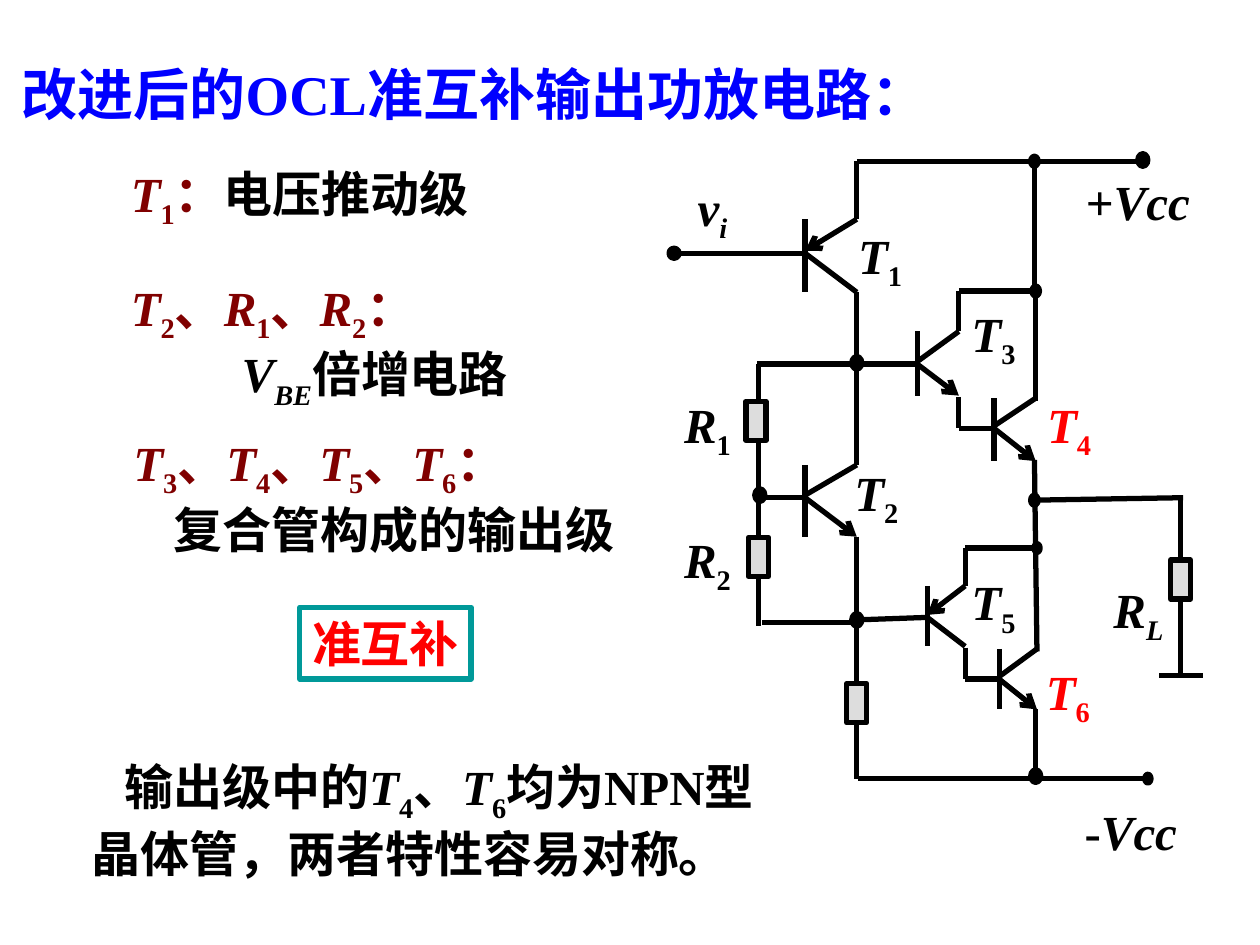
from dataclasses import dataclass
from typing import NamedTuple

from lxml.etree import SubElement
from pptx import Presentation
from pptx.dml.color import RGBColor
from pptx.enum.shapes import MSO_CONNECTOR, MSO_SHAPE
from pptx.enum.text import MSO_ANCHOR, MSO_AUTO_SIZE, PP_ALIGN
from pptx.oxml.ns import qn
from pptx.util import Inches, Pt

COLORS = {"title": "0000FF", "name": "800000", "ink": "000000", "accent": "FF0000",
          "frame": "009999", "resistor": "DDDDDD", "paper": "FFFFFF"}
LATIN, CHINESE = "Times New Roman", "Arial"
COLUMNS, ROWS = 100, 75
STROKE = Pt(3)


class Run(NamedTuple):
    text: str
    color: str = "ink"
    font: str = LATIN
    italic: bool = False
    subscript: bool = False


class Line(NamedTuple):
    runs: list
    margin: float = 0
    first_indent: float = 0


class Box(NamedTuple):
    left: float
    top: float
    width: float
    height: float


class Wire(NamedTuple):
    x1: float
    y1: float
    x2: float
    y2: float


class Node(NamedTuple):
    x: float
    y: float
    width: float = 0.6
    height: float = 0.8


@dataclass(frozen=True)
class Transistor:
    bar: float
    lead: float
    top: float
    base: float
    bottom: float
    pnp: bool = False


@dataclass(frozen=True)
class Label:
    box: Box
    runs: list


def chinese(text: str, color: str = "ink") -> Run:
    """Return an upright Chinese run."""
    return Run(text, color, CHINESE)


def symbol(letter: str, index: str, color: str = "ink", slanted_index: bool = False) -> list:
    """Return an italic letter followed by its subscript."""
    return [Run(letter, color, italic=True),
            Run(index, color, italic=slanted_index, subscript=True)]


def symbol_list(names: str) -> list:
    """Return symbols parted by Chinese commas and closed by a colon."""
    items = names.split()
    runs = []
    for name in items:
        mark = "：" if name == items[-1] else "、"
        runs += [*symbol(name[0], name[1], "name"), chinese(mark, "name")]
    return runs


TITLE = Line([chinese("改进后的", "title"), Run("OCL", "title"),
              chinese("准互补输出功放电路：", "title")])
NOTES = [
    (Box(7.4, 12.5, 32, 6.3),
     [Line([*symbol("T", "1", "name"), chinese("：", "name"), chinese("电压推动级")], 2)]),
    (Box(7.4, 21.5, 35, 11.6),
     [Line(symbol_list("T2 R1 R2"), 2),
      Line([*symbol("V", "BE", slanted_index=True), chinese("倍增电路")], 10.8)]),
    (Box(7.6, 33.8, 45.7, 11),
     [Line(symbol_list("T3 T4 T5 T6"), 2), Line([chinese("复合管构成的输出级")], 5.2)]),
    (Box(6.3, 57.2, 54.9, 15.7),
     [Line([chinese("输出级中的"), *symbol("T", "4"), chinese("、"), *symbol("T", "6"),
            chinese("均为"), Run("NPN"), chinese("型晶体管，两者特性容易对称。")],
           first_indent=2.6)]),
]
BADGE = Label(Box(23.8, 48.2, 13.6, 5.7), [chinese("准互补", "accent")])
TRANSISTORS = [
    Transistor(63.9, 68, 17.4, 20.1, 23.2, pnp=True),
    Transistor(63.9, 68, 36.9, 39.5, 42.6),
    Transistor(72.8, 76.1, 26.3, 28.9, 31.4),
    Transistor(78.9, 82.2, 31.6, 34, 36.6),
    Transistor(73.6, 76.6, 46.5, 49, 51.3, pnp=True),
    Transistor(79.3, 82.3, 51.5, 53.9, 56.3),
]
WIRES = [
    Wire(68, 12.8, 91.3, 12.8), Wire(68, 17.4, 68, 12.8), Wire(53.1, 20.1, 63.9, 20.1),
    Wire(68, 23.2, 68, 36.9), Wire(60.1, 28.9, 72.8, 28.9), Wire(60.2, 28.9, 60.2, 49.7),
    Wire(60.6, 39.5, 63.9, 39.5), Wire(60.5, 49.4, 68, 49.4), Wire(68, 42.6, 68, 61.8),
    Wire(68, 49.2, 73.6, 49), Wire(68.1, 61.8, 90.8, 61.8),
    Wire(82.1, 12.8, 82.1, 22.7), Wire(82.2, 22.7, 82.2, 31.8), Wire(76.1, 23.1, 82.2, 23.1),
    Wire(76.1, 23.1, 76.1, 26.3), Wire(76.1, 31.5, 76.1, 34), Wire(76.1, 34, 78.9, 34),
    Wire(82.1, 36.5, 82.3, 51.7), Wire(76.6, 43.5, 82.3, 43.5), Wire(76.6, 43.5, 76.6, 46.5),
    Wire(76.6, 51.4, 76.6, 53.9), Wire(76.6, 53.9, 79.3, 53.9), Wire(82.2, 56.3, 82.2, 61.9),
    Wire(81.9, 39.7, 93.9, 39.5), Wire(93.7, 39.7, 93.7, 53.6), Wire(92, 53.6, 95.5, 53.6),
]
NODES = [
    Node(82.1, 12.8), Node(82.2, 23.1), Node(82.1, 39.7), Node(82.3, 43.5, 0.5, 0.7),
    Node(91.1, 61.8, 0.5, 0.7), Node(53.5, 20.1, 0.8, 0.8),
    *(Node(x, y, 0.8, 1) for x, y in
      [(90.7, 12.7), (68, 28.8), (60.3, 39.3), (68, 49.2), (82.2, 61.6)]),
]
RESISTORS = [Node(x, y, 1.6, 3.1) for x, y in
             [(60, 33.4), (60.2, 44.2), (68, 55.8), (93.7, 46)]]
LABELS = [
    Label(Box(85.2, 13.1, 10.2, 5.7), [Run("+"), Run("Vcc", italic=True)]),
    Label(Box(85.1, 63.1, 9.3, 5.7), [Run("-"), Run("Vcc", italic=True)]),
    Label(Box(54.4, 13.6, 4.3, 6.3), symbol("v", "i", slanted_index=True)),
    Label(Box(87.4, 45.5, 5.9, 6.3), symbol("R", "L", slanted_index=True)),
    *(Label(Box(53.3, top, 5.7, 6.3), symbol("R", index))
      for index, top in [("1", 30.8), ("2", 41.5)]),
    *(Label(Box(left, top, 5.5, 6.3), symbol("T", index, color))
      for index, left, top, color in
      [("1", 67.1, 17.4, "ink"), ("2", 66.8, 36.2, "ink"), ("3", 76.1, 23.6, "ink"),
       ("4", 82.1, 30.8, "accent"), ("5", 76.1, 44.9, "ink"), ("6", 82, 52, "accent")]),
]

deck = Presentation()
deck.slide_width, deck.slide_height = Inches(10), Inches(7.5)
slide = deck.slides.add_slide(deck.slide_layouts[5])


def across(columns: float) -> int:
    """Convert grid columns to a length."""
    return round(deck.slide_width * columns / COLUMNS)


def down(rows: float) -> int:
    """Convert grid rows to a length."""
    return round(deck.slide_height * rows / ROWS)


def place(box: Box) -> tuple:
    """Convert a grid box to slide lengths."""
    return across(box.left), down(box.top), across(box.width), down(box.height)


def rgb(color: str) -> RGBColor:
    """Look up a colour by its role."""
    return RGBColor.from_string(COLORS[color])


def write(shape, lines: list, align=PP_ALIGN.LEFT, size: int = 28, wrap: bool = False,
          anchor=MSO_ANCHOR.MIDDLE) -> None:
    """Fill a shape with lines of bold runs."""
    frame = shape.text_frame
    frame.auto_size, frame.word_wrap, frame.vertical_anchor = MSO_AUTO_SIZE.NONE, wrap, anchor
    for number, line in enumerate(lines):
        paragraph = frame.add_paragraph() if number else frame.paragraphs[0]
        paragraph.alignment = align
        if line.margin or line.first_indent:
            properties = paragraph._p.get_or_add_pPr()
            properties.set("marL", str(across(line.margin)))
            properties.set("indent", str(across(line.first_indent)))
        for part in line.runs:
            run = paragraph.add_run()
            run.text = part.text
            run.font.name, run.font.size = part.font, Pt(size)
            run.font.bold, run.font.italic = True, part.italic
            run.font.color.rgb = rgb(part.color)
            if part.subscript:
                run.font._element.set("baseline", "-25000")


def draw_wire(wire: Wire, arrow: bool = False) -> None:
    """Draw a wire, with an arrowhead at its end if asked."""
    connector = slide.shapes.add_connector(
        MSO_CONNECTOR.STRAIGHT, across(wire.x1), down(wire.y1), across(wire.x2), down(wire.y2))
    connector.line.color.rgb, connector.line.width = rgb("ink"), STROKE
    if arrow:
        SubElement(connector.line._get_or_add_ln(), qn("a:tailEnd"), type="arrow")
    SubElement(connector._element.spPr, qn("a:effectLst"))


def draw_transistor(part: Transistor) -> None:
    """Draw a base bar with a collector and an emitter arrow."""
    draw_wire(Wire(part.bar, part.top, part.bar, part.bottom))
    draw_wire(Wire(part.lead, part.top, part.bar, part.base - 0.2), arrow=part.pnp)
    draw_wire(Wire(part.bar, part.base, part.lead, part.bottom), arrow=not part.pnp)


def draw_node(node: Node, preset, fill: str) -> None:
    """Draw an outlined part centred on its grid point."""
    box = Box(node.x - node.width / 2, node.y - node.height / 2, node.width, node.height)
    shape = slide.shapes.add_shape(preset, *place(box))
    shape.shadow.inherit = False
    shape.fill.solid()
    shape.fill.fore_color.rgb = rgb(fill)
    shape.line.color.rgb, shape.line.width = rgb("ink"), STROKE


def draw_badge(badge: Label) -> None:
    """Draw the framed keyword."""
    shape = slide.shapes.add_shape(MSO_SHAPE.RECTANGLE, *place(badge.box))
    shape.shadow.inherit = False
    shape.fill.background()
    shape.line.color.rgb, shape.line.width = rgb("frame"), STROKE
    write(shape, [Line(badge.runs)], PP_ALIGN.CENTER)


def main() -> None:
    """Build and save the slide."""
    title = slide.shapes.title
    title.left, title.top, title.width, title.height = place(Box(0.7, 4.2, 76.1, 6.4))
    title.fill.solid()
    title.fill.fore_color.rgb = rgb("paper")
    write(title, [TITLE], size=32, anchor=MSO_ANCHOR.TOP)
    for box, lines in NOTES:
        write(slide.shapes.add_textbox(*place(box)), lines, wrap=True)
    draw_badge(BADGE)
    for wire in WIRES:
        draw_wire(wire)
    for transistor in TRANSISTORS:
        draw_transistor(transistor)
    for node in NODES:
        draw_node(node, MSO_SHAPE.OVAL, "ink")
    for label in LABELS:
        write(slide.shapes.add_textbox(*place(label.box)), [Line(label.runs)], PP_ALIGN.CENTER)
    for resistor in RESISTORS:
        draw_node(resistor, MSO_SHAPE.RECTANGLE, "resistor")
    deck.save("out.pptx")


if __name__ == "__main__":
    main()
